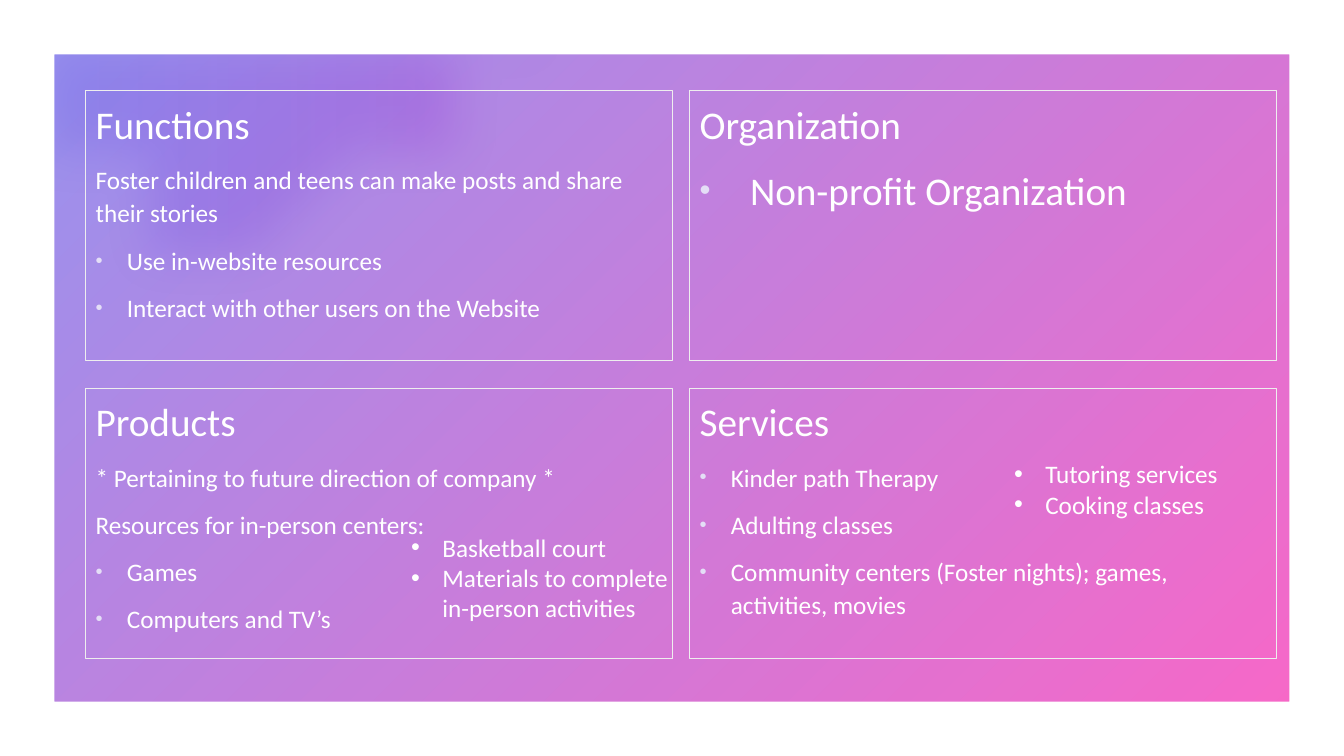
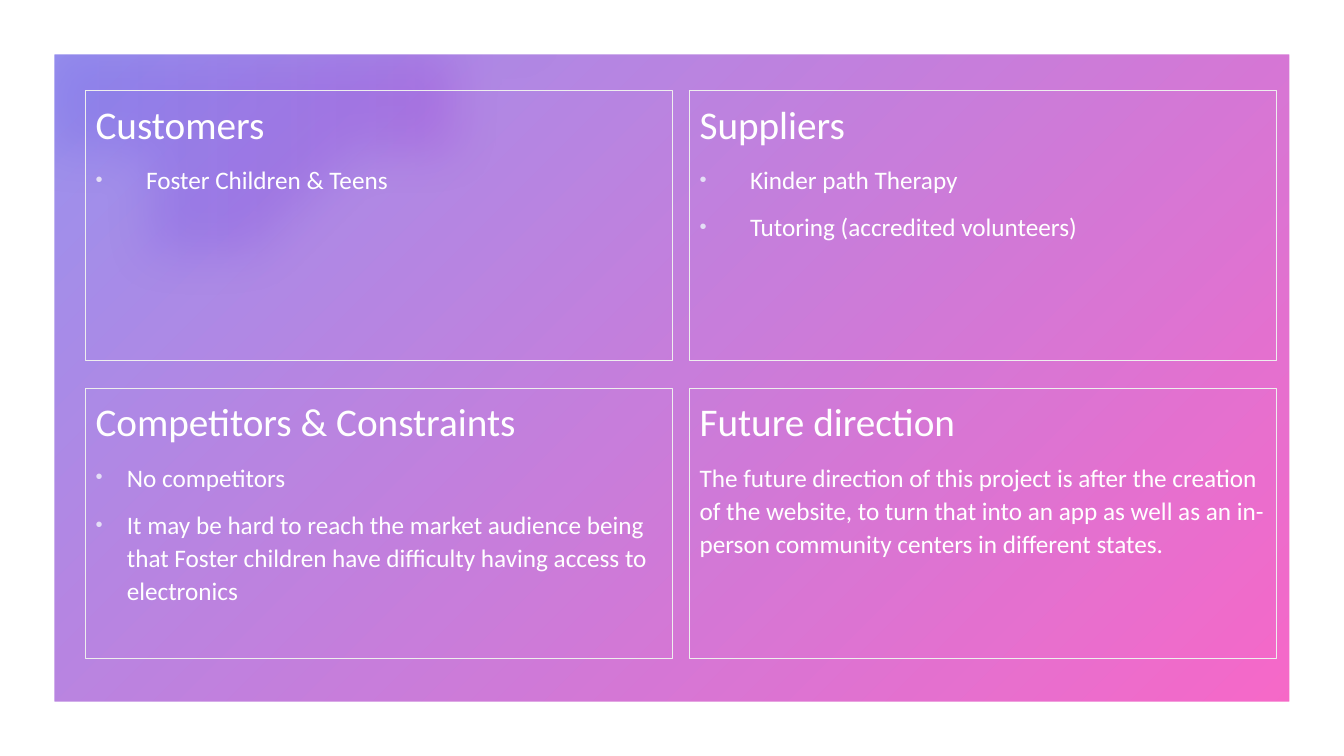
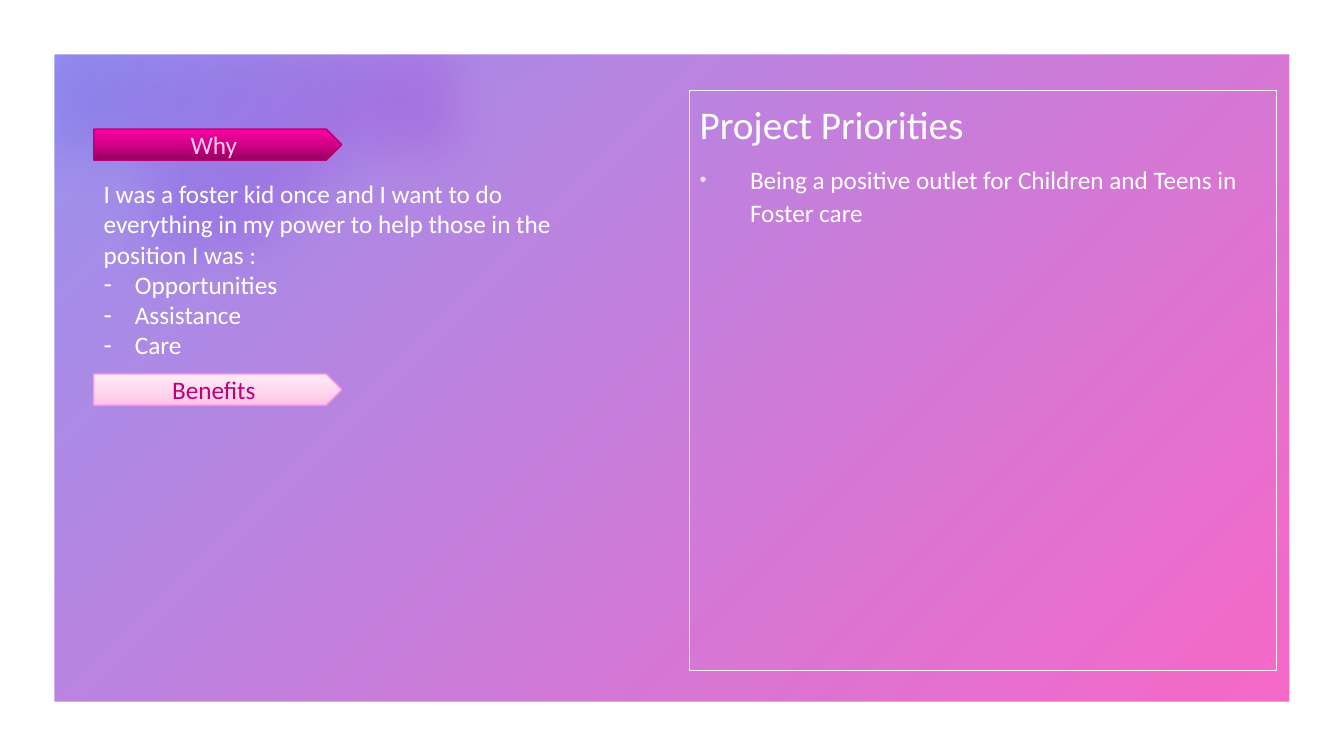
from dataclasses import dataclass

from lxml.etree import SubElement
from pptx import Presentation
from pptx.dml.color import RGBColor
from pptx.enum.shapes import MSO_SHAPE
from pptx.enum.text import MSO_ANCHOR, MSO_AUTO_SIZE, PP_ALIGN
from pptx.oxml.ns import qn
from pptx.util import Inches, Pt


@dataclass(frozen=True)
class Theme:
    font: str = "Calibri"
    heading_size: int = 28
    body_size: int = 18
    white: str = "FFFFFF"
    panel_line: str = "EEEEEE"
    bullet: str = "E4DEF6"
    # Gradient stops: position in percent, colour, opacity in percent
    backdrop: tuple = ((0, "4D4EE6", 60), (100, "F900A0", 60))
    glow: tuple = ((0, "4D4EE6", 20), (100, "B020C8", 26))
    dark_tag: tuple = ((0, "94005F", 100), (50, "D20087", 100), (100, "F900A0", 100))
    dark_tag_line: str = "B80076"
    dark_tag_text: str = "FFCBEC"
    light_tag: tuple = ((0, "FFC3E7", 100), (50, "FFD9EF", 100), (100, "FFECF7", 100))
    light_tag_line: str = "FF97DA"
    light_tag_text: str = "BB0078"


THEME = Theme()


@dataclass(frozen=True)
class Line:
    """One paragraph; an indent above zero makes it a list item."""
    text: str
    indent: float = 0
    size: int = THEME.body_size
    bullet: str = "•"


SLIDE_WIDTH, SLIDE_HEIGHT = 13.33, 7.5
COLUMNS = (0.85, 6.84)
ROWS = (0.9, 3.85)
PANEL_WIDTH, PANEL_HEIGHT = 5.82, 2.68
TALL_PANEL_HEIGHT = 5.75
TAG_LEFT = 0.93
NARROW, WIDE = 0.31, 0.5
THERAPY_SUPPLIER = "Kinder path Therapy"


def color(value):
    return RGBColor.from_string(value)


def box(*lengths):
    return [Inches(length) for length in lengths]


def bullets(*texts, indent=NARROW, bullet="•"):
    return [Line(text, indent, bullet=bullet) for text in texts]


def fill_gradient(shape, stops, angle):
    """Fill with (position, colour, opacity) stops; angle runs clockwise."""
    shape.fill.gradient()
    shape.fill.gradient_angle = (360 - angle) % 360
    stop_list = shape.element.spPr.find(qn("a:gradFill")).find(qn("a:gsLst"))
    for stop in list(stop_list):
        stop_list.remove(stop)
    for position, value, opacity in stops:
        stop = SubElement(stop_list, qn("a:gs"), pos=str(position * 1000))
        rgb = SubElement(stop, qn("a:srgbClr"), val=value)
        if opacity < 100:
            SubElement(rgb, qn("a:alpha"), val=str(opacity * 1000))


def format_runs(paragraph, size, value):
    for run in paragraph.runs:
        run.font.name = THEME.font
        run.font.size = Pt(size)
        run.font.color.rgb = color(value)


def add_bullet(paragraph, line, styled):
    properties = paragraph._p.get_or_add_pPr()
    properties.set("marL", str(Inches(line.indent)))
    properties.set("indent", str(-Inches(line.indent)))
    if styled:
        bullet_color = SubElement(properties, qn("a:buClr"))
        SubElement(bullet_color, qn("a:srgbClr"), val=THEME.bullet)
        SubElement(properties, qn("a:buSzPct"), val="80000")
    SubElement(properties, qn("a:buFont"), typeface="Arial")
    SubElement(properties, qn("a:buChar"), char=line.bullet)


def add_text(slide, bounds, lines, spaced=False):
    """Add a text box; spaced text has open lines and pale bullets."""
    shape = slide.shapes.add_textbox(*box(*bounds))
    frame = shape.text_frame
    frame.word_wrap = True
    frame.auto_size = MSO_AUTO_SIZE.NONE if spaced else MSO_AUTO_SIZE.SHAPE_TO_FIT_TEXT
    frame.text = "\n".join(line.text for line in lines)
    for paragraph, line in zip(frame.paragraphs, lines):
        if spaced:
            paragraph.line_spacing = 1.1
            paragraph.space_before = Pt(10)
        if line.indent:
            add_bullet(paragraph, line, spaced)
        format_runs(paragraph, line.size, THEME.white)
    return shape


def add_panel(slide, column, row, heading, lines, height=PANEL_HEIGHT):
    bounds = (COLUMNS[column], ROWS[row], PANEL_WIDTH, height)
    heading_line = Line(heading, size=THEME.heading_size)
    panel = add_text(slide, bounds, [heading_line, *lines], spaced=True)
    panel.line.color.rgb = color(THEME.panel_line)
    panel.line.width = Pt(0.75)


def add_panel_grid(slide, panels):
    """Place four (heading, lines) panels row by row."""
    for index, (heading, lines) in enumerate(panels):
        row, column = divmod(index, len(COLUMNS))
        add_panel(slide, column, row, heading, lines)


def add_tag(slide, top, text, stops, line_color, text_color):
    tag = slide.shapes.add_shape(MSO_SHAPE.PENTAGON, *box(TAG_LEFT, top, 2.46, 0.31))
    tag.shadow.inherit = False
    fill_gradient(tag, stops, 270)
    tag.line.color.rgb = color(line_color)
    tag.line.width = Pt(1)
    tag.text_frame.text = text
    tag.text_frame.vertical_anchor = MSO_ANCHOR.MIDDLE
    paragraph = tag.text_frame.paragraphs[0]
    paragraph.alignment = PP_ALIGN.CENTER
    format_runs(paragraph, THEME.body_size, text_color)


def curve_points(start, first, second, end, steps=16):
    """Points along a cubic curve, without its start."""
    for step in range(1, steps + 1):
        t = step / steps
        weights = ((1 - t) ** 3, 3 * t * (1 - t) ** 2, 3 * t ** 2 * (1 - t), t ** 3)
        yield tuple(
            sum(weight * value for weight, value in zip(weights, values))
            for values in zip(start, first, second, end)
        )


def add_glow(slide):
    points = [
        (6.35, 0.01), (6.29, 0.15),
        *curve_points((6.29, 0.15), (6.08, 0.59), (5.79, 1.01), (5.42, 1.38)),
        *curve_points((5.42, 1.38), (4, 2.81), (1.83, 3.03), (0.17, 2.05)),
        (0.04, 1.96),
    ]
    builder = slide.shapes.build_freeform(0.04, 0.01, scale=Inches(1))
    builder.add_line_segments(points, close=True)
    glow = builder.convert_to_shape()
    glow.shadow.inherit = False
    fill_gradient(glow, THEME.glow, 0)
    effects = glow.element.spPr.find(qn("a:effectLst"))
    SubElement(effects, qn("a:softEdge"), rad=str(Inches(0.5)))
    return glow


def add_backdrop(slide):
    """Build the backdrop and move it to the layout that all slides share."""
    bounds = box(0, 0, SLIDE_WIDTH, SLIDE_HEIGHT)
    wash = slide.shapes.add_shape(MSO_SHAPE.RECTANGLE, *bounds)
    wash.shadow.inherit = False
    fill_gradient(wash, THEME.backdrop, 45)
    glow = add_glow(slide)
    frame = slide.shapes.add_shape(MSO_SHAPE.FRAME, *bounds)
    frame.shadow.inherit = False
    frame.adjustments[0] = 0.072
    frame.fill.solid()
    frame.fill.fore_color.rgb = color(THEME.white)
    for shape in (wash, glow, frame):
        shape.line.fill.background()
        slide.slide_layout.shapes.element.append(shape.element)


def build_offer(slide):
    add_panel_grid(slide, [
        ("Functions", [
            Line("Foster children and teens can make posts and share their stories"),
            *bullets("Use in-website resources",
                     "Interact with other users on the Website"),
        ]),
        ("Organization", [
            Line("Non-profit Organization", WIDE, THEME.heading_size),
        ]),
        ("Products", [
            Line("* Pertaining to future direction of company *"),
            Line("Resources for in-person centers:"),
            *bullets("Games", "Computers and TV’s"),
        ]),
        ("Services", bullets(
            THERAPY_SUPPLIER,
            "Adulting classes",
            "Community centers (Foster nights); games, activities, movies",
        )),
    ])
    add_text(slide, (9.96, 4.5, 2.77, 0.71),
             bullets("Tutoring services", "Cooking classes"))
    add_text(slide, (3.98, 5.23, 2.77, 1.31),
             bullets("Basketball court", "Materials to complete in-person activities"))


def build_market(slide):
    add_panel_grid(slide, [
        ("Customers", bullets("Foster Children & Teens", indent=WIDE)),
        ("Suppliers", bullets(THERAPY_SUPPLIER,
                              "Tutoring (accredited volunteers)", indent=WIDE)),
        ("Competitors & Constraints", bullets(
            "No competitors",
            "It may be hard to reach the market audience being that Foster "
            "children have difficulty having access to electronics",
        )),
        ("Future direction", [
            Line("The future direction of this project is after the creation of "
                 "the website, to turn that into an app as well as an in-person "
                 "community centers in different states."),
        ]),
    ])


def build_purpose(slide):
    add_panel(slide, 1, 0, "Project Priorities",
              bullets("Being a positive outlet for Children and Teens in Foster care",
                      indent=WIDE),
              TALL_PANEL_HEIGHT)
    add_tag(slide, 1.28, "Why", THEME.dark_tag,
            THEME.dark_tag_line, THEME.dark_tag_text)
    add_text(slide, (TAG_LEFT, 1.72, 4.79, 1.92), [
        Line("I was a foster kid once and I want to do everything in my power "
             "to help those in the position I was :"),
        *bullets("Opportunities", "Assistance", "Care", bullet="-"),
    ])
    add_tag(slide, 3.71, "Benefits", THEME.light_tag,
            THEME.light_tag_line, THEME.light_tag_text)


def main():
    presentation = Presentation()
    presentation.slide_width = Inches(SLIDE_WIDTH)
    presentation.slide_height = Inches(SLIDE_HEIGHT)
    blank_layout = presentation.slide_layouts[6]
    for number, build in enumerate((build_offer, build_market, build_purpose)):
        slide = presentation.slides.add_slide(blank_layout)
        if number == 0:
            add_backdrop(slide)
        build(slide)
    presentation.save("out.pptx")


if __name__ == "__main__":
    main()
